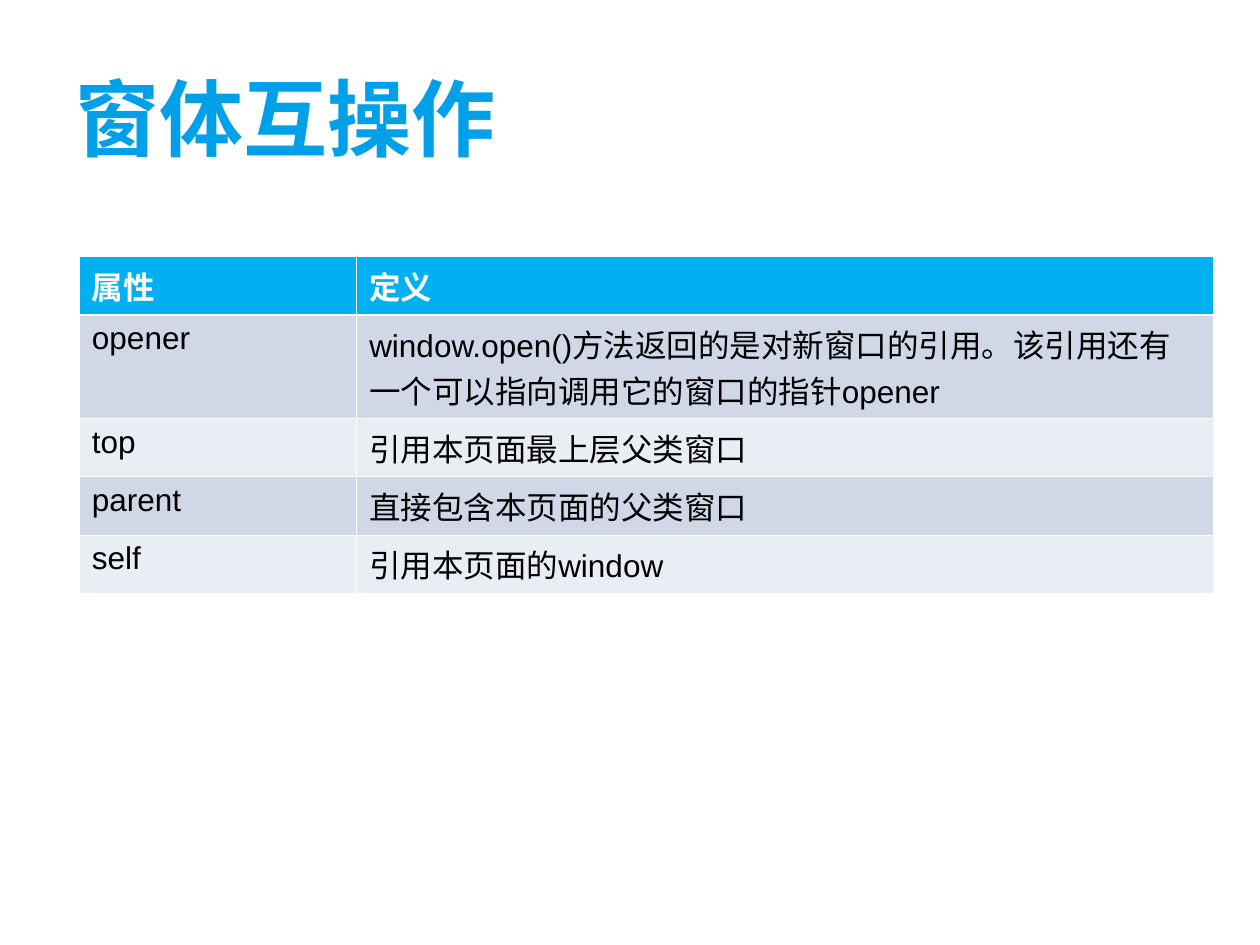
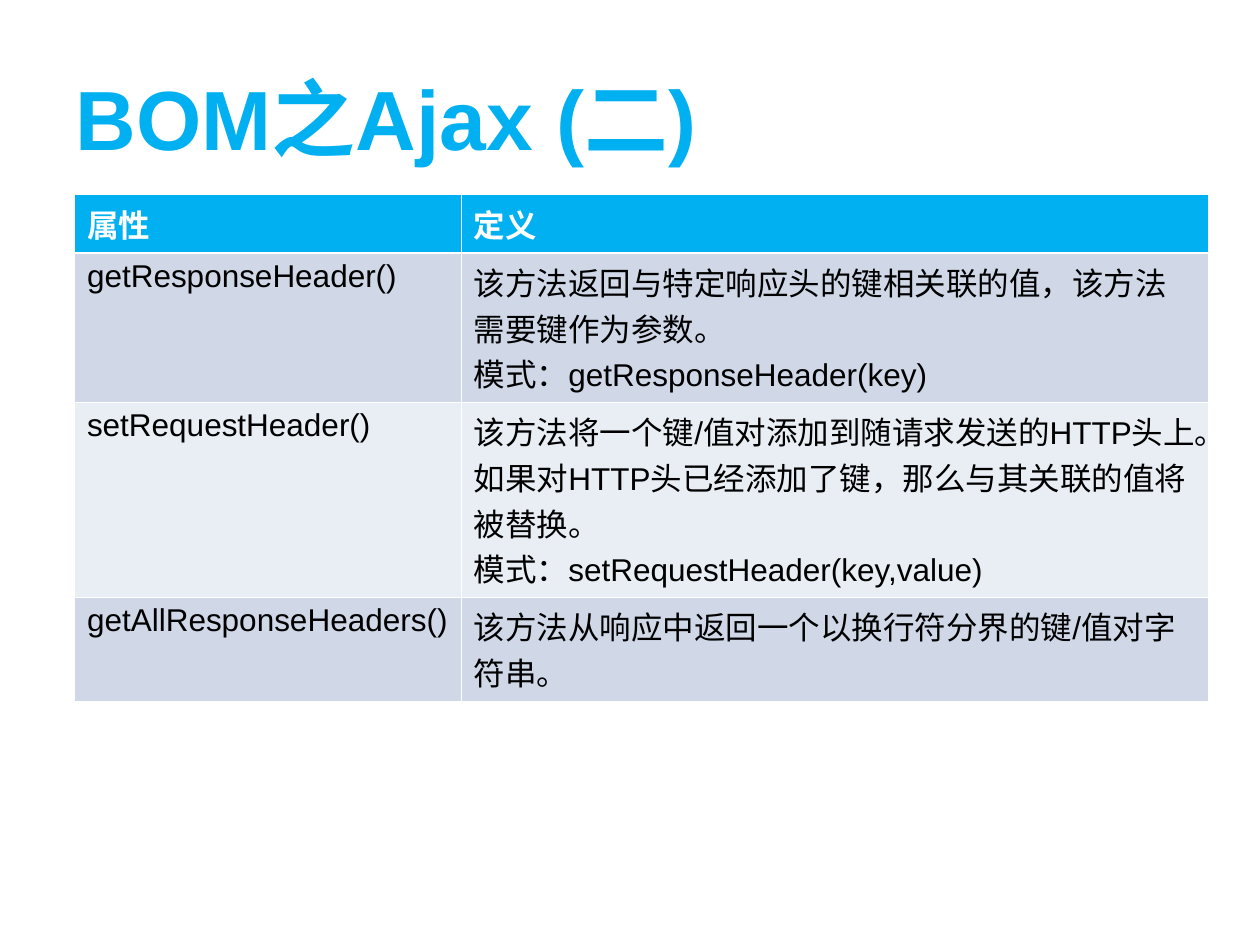
from dataclasses import dataclass

from lxml.etree import SubElement
from pptx import Presentation
from pptx.dml.color import RGBColor
from pptx.enum.text import MSO_ANCHOR, MSO_AUTO_SIZE, PP_ALIGN
from pptx.oxml.ns import qn
from pptx.util import Cm, Length, Pt


@dataclass(frozen=True)
class Theme:
    font: str = "Arial"
    title_size: float = 48
    table_size: float = 18
    accent: str = "00B0F0"
    accent_deep: str = "00A0E9"
    text: str = "000000"
    white: str = "FFFFFF"
    bands: tuple[str, str] = ("D0D8E8", "E9EDF4")
    thin_line: float = 0.45
    header_line: float = 1.47


THEME = Theme()


@dataclass(frozen=True)
class Entry:
    name: str
    definition: str
    lines: int = 1

    @property
    def height(self) -> Length:
        return Cm(0.25 + 0.76 * self.lines)


@dataclass(frozen=True)
class TablePage:
    title: str
    title_color: str
    left: Length
    top: Length
    widths: tuple[Length, Length]
    entries: tuple[Entry, ...]


HEADER = Entry("属性", "定义")

PAGES = (
    TablePage(
        "窗体互操作", THEME.accent_deep, Cm(1.6), Cm(5.17), (Cm(5.59), Cm(17.27)),
        (
            Entry("opener", "window.open()方法返回的是对新窗口的引用。"
                            "该引用还有一个可以指向调用它的窗口的指针opener", 2),
            Entry("top", "引用本页面最上层父类窗口"),
            Entry("parent", "直接包含本页面的父类窗口"),
            Entry("self", "引用本页面的window"),
        ),
    ),
    TablePage(
        "BOM之Ajax (二)", THEME.accent, Cm(1.5), Cm(3.92), (Cm(7.8), Cm(15.06)),
        (
            Entry("getResponseHeader()",
                  "该方法返回与特定响应头的键相关联的值，该方法需要键作为参数。\n"
                  "模式：getResponseHeader(key)", 3),
            Entry("setRequestHeader()",
                  "该方法将一个键/值对添加到随请求发送的HTTP头上。"
                  "如果对HTTP头已经添加了键，那么与其关联的值将被替换。\n"
                  "模式：setRequestHeader(key,value)", 4),
            Entry("getAllResponseHeaders()",
                  "该方法从响应中返回一个以换行符分界的键/值对字符串。", 2),
        ),
    ),
)


def write(frame, text: str, size: float, color: str, bold: bool) -> None:
    """Put one left-aligned paragraph in the frame; a newline is a line break."""
    para = frame.paragraphs[0]
    para.text = text
    para.alignment = PP_ALIGN.LEFT
    formats = {"name": THEME.font, "size": Pt(size), "bold": bold}
    for span in para.runs:
        for name, value in formats.items():
            setattr(span.font, name, value)
        span.font.color.rgb = RGBColor.from_string(color)


def add_borders(cell, widths: dict[str, float]) -> None:
    properties = cell._tc.get_or_add_tcPr()
    for side, width in widths.items():
        line = SubElement(properties, qn(f"a:ln{side}"), w=str(int(Pt(width))))
        fill = SubElement(line, qn("a:solidFill"))
        SubElement(fill, qn("a:srgbClr"), val=THEME.white)


def add_title(page, text: str, color: str) -> None:
    box = page.shapes.title
    place = {"left": Cm(1.27), "top": Cm(0.76), "width": Cm(22.86), "height": Cm(3.18)}
    for name, value in place.items():
        setattr(box, name, value)
    box.text_frame.auto_size = MSO_AUTO_SIZE.NONE
    box.text_frame.vertical_anchor = MSO_ANCHOR.MIDDLE
    write(box.text_frame, text, THEME.title_size, color, True)


def add_definitions(page, content: TablePage) -> None:
    rows = (HEADER, *content.entries)
    table = page.shapes.add_table(
        len(rows), len(content.widths), content.left, content.top,
        sum(content.widths), sum(entry.height for entry in rows),
    ).table
    for column, width in zip(table.columns, content.widths):
        column.width = width
    for index, entry in enumerate(rows):
        table.rows[index].height = entry.height
        is_header = index == 0
        fill = THEME.accent if is_header else THEME.bands[(index - 1) % 2]
        color = THEME.white if is_header else THEME.text
        borders = dict.fromkeys("LRTB", THEME.thin_line)
        if index < 2:
            borders["B" if is_header else "T"] = THEME.header_line
        for cell, text in zip(table.rows[index].cells, (entry.name, entry.definition)):
            write(cell.text_frame, text, THEME.table_size, color, is_header)
            add_borders(cell, borders)
            cell.fill.solid()
            cell.fill.fore_color.rgb = RGBColor.from_string(fill)


def main() -> None:
    deck = Presentation()
    deck.slide_width, deck.slide_height = Cm(25.4), Cm(19.05)
    title_only = deck.slide_layouts.get_by_name("Title Only")
    for content in PAGES:
        page = deck.slides.add_slide(title_only)
        add_title(page, content.title, content.title_color)
        add_definitions(page, content)
    deck.save("out.pptx")


if __name__ == "__main__":
    main()
